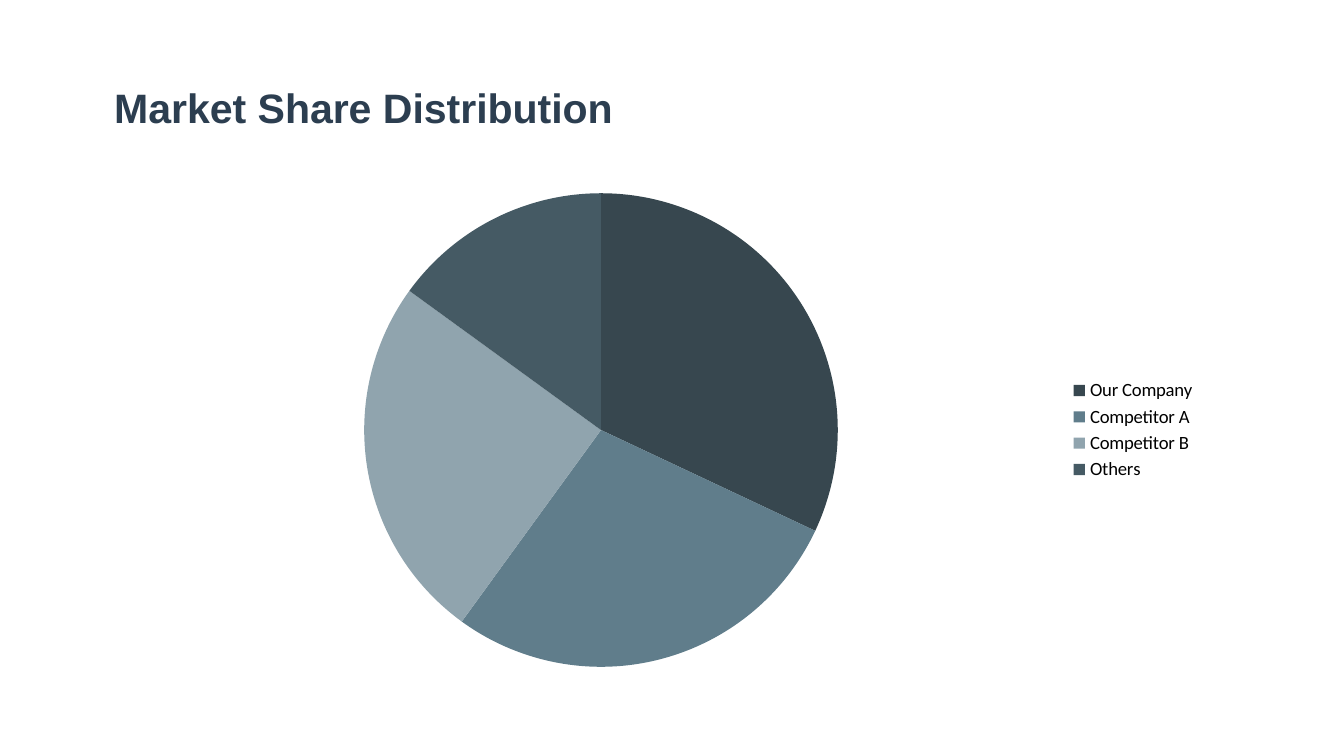
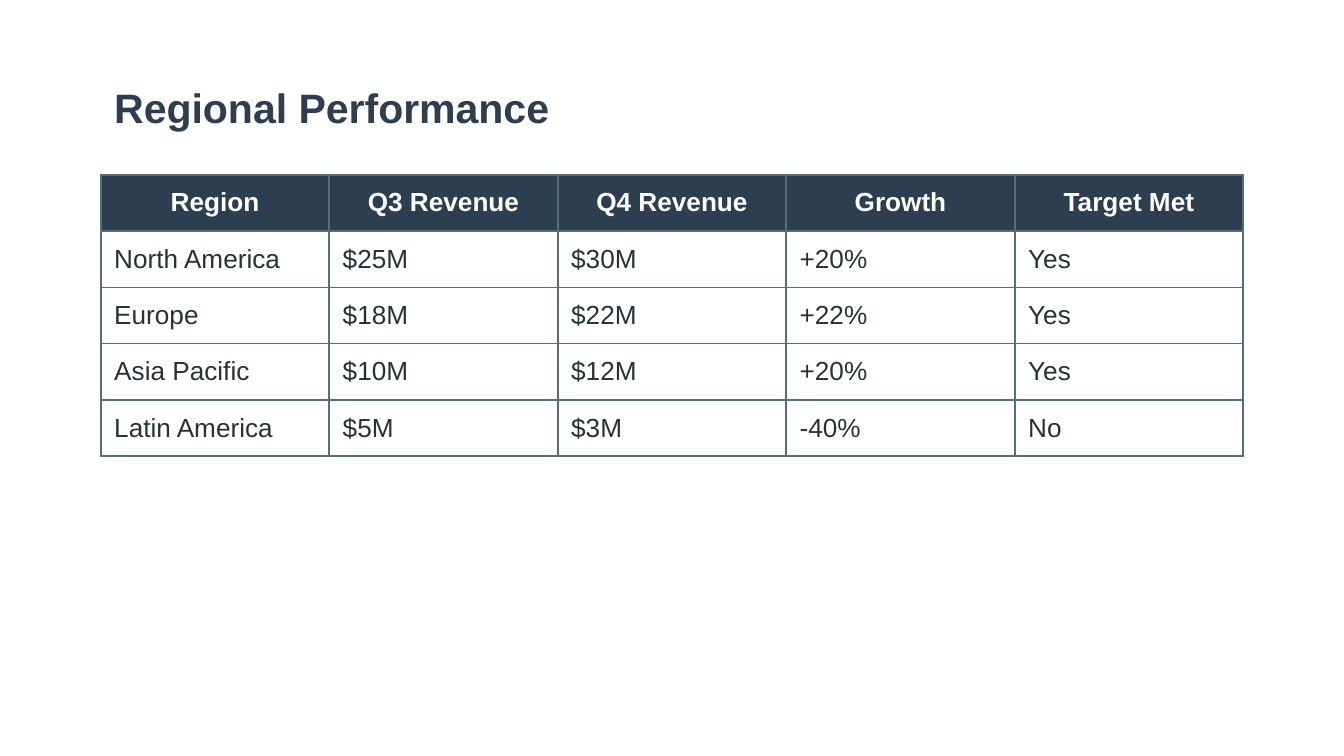
"""Build two slides: a market share pie and a regional performance table."""
from lxml.etree import SubElement
from pptx import Presentation
from pptx.chart.data import CategoryChartData
from pptx.dml.color import RGBColor
from pptx.enum.chart import XL_CHART_TYPE as CHART, XL_LEGEND_POSITION as LEGEND
from pptx.enum.text import MSO_ANCHOR as ANCHOR, PP_ALIGN as ALIGN
from pptx.oxml.ns import qn
from pptx.util import Pt

NAVY = RGBColor(0x2C, 0x3E, 0x50)
INK = RGBColor(0x26, 0x32, 0x38)
WHITE = RGBColor(0xFF, 0xFF, 0xFF)
BLACK = RGBColor(0x00, 0x00, 0x00)
BORDER = RGBColor(0x54, 0x6E, 0x7A)
PIE_LINE = RGBColor(0xF9, 0xF9, 0xF9)
SLATES = [RGBColor(0x37, 0x47, 0x4F), RGBColor(0x60, 0x7D, 0x8B),
          RGBColor(0x90, 0xA4, 0xAE), RGBColor(0x45, 0x5A, 0x64)]

LEFT, WIDTH, BODY_TOP = Pt(54), Pt(612), Pt(93.6)
ROW_HEIGHT, INSET = Pt(28.8), Pt(7.2)


def write(tf, text, size=14, color=INK, bold=False, align=ALIGN.LEFT):
    p = tf.paragraphs[0]
    p.alignment = align
    r = p.add_run()
    r.text = text
    r.font.name = "Arial"
    r.font.size = Pt(size)
    r.font.bold = bold
    r.font.color.rgb = color


def add_titled_slide(prs, title):
    s = prs.slides.add_slide(prs.slide_layouts[5])
    sp = s.shapes.title
    sp.left, sp.top, sp.width, sp.height = LEFT, Pt(28.8), WIDTH, Pt(57.6)
    sp.text_frame.vertical_anchor = ANCHOR.MIDDLE
    write(sp.text_frame, title, size=22, color=NAVY, bold=True)
    return s


prs = Presentation()
prs.slide_width, prs.slide_height = Pt(720), Pt(405)

s = add_titled_slide(prs, "Market Share Distribution")
data = CategoryChartData()
data.categories = ["Our Company", "Competitor A", "Competitor B", "Others"]
data.add_series("Series 1", [32, 28, 25, 15])
chart = s.shapes.add_chart(CHART.PIE, Pt(72), BODY_TOP, Pt(576), Pt(273.6), data).chart
chart.has_title = False
chart.font.name = "Calibri"
chart.font.size = Pt(10)
chart.font.color.rgb = BLACK
chart.has_legend = True
chart.legend.position = LEGEND.RIGHT
chart.legend.include_in_layout = False
plot = chart.plots[0]
plot.vary_by_categories = True
share = plot.series[0]
share.format.line.color.rgb = PIE_LINE
share.format.line.width = Pt(0.75)
for i, slate in enumerate(SLATES):
    fill = share.points[i].format.fill
    fill.solid()
    fill.fore_color.rgb = slate

s = add_titled_slide(prs, "Regional Performance")
rows = [
    ["Region", "Q3 Revenue", "Q4 Revenue", "Growth", "Target Met"],
    ["North America", "$25M", "$30M", "+20%", "Yes"],
    ["Europe", "$18M", "$22M", "+22%", "Yes"],
    ["Asia Pacific", "$10M", "$12M", "+20%", "Yes"],
    ["Latin America", "$5M", "$3M", "-40%", "No"],
]
table = s.shapes.add_table(len(rows), len(rows[0]), LEFT, BODY_TOP,
                           WIDTH, ROW_HEIGHT * len(rows)).table
table.horz_banding = False
for i, row in enumerate(rows):
    header = i == 0
    for j, text in enumerate(row):
        cell = table.cell(i, j)
        cell.margin_left = cell.margin_right = INSET
        cell.margin_top = cell.margin_bottom = INSET
        cell.vertical_anchor = ANCHOR.MIDDLE
        tc_pr = cell._tc.get_or_add_tcPr()
        for side in ("a:lnL", "a:lnR", "a:lnT", "a:lnB"):
            ln = SubElement(tc_pr, qn(side), w=str(Pt(1)))
            line_fill = SubElement(ln, qn("a:solidFill"))
            SubElement(line_fill, qn("a:srgbClr"), val=str(BORDER))
        cell.fill.solid()
        cell.fill.fore_color.rgb = NAVY if header else WHITE
        write(cell.text_frame, text, color=WHITE if header else INK, bold=header,
              align=ALIGN.CENTER if header else ALIGN.LEFT)

prs.save("out.pptx")
